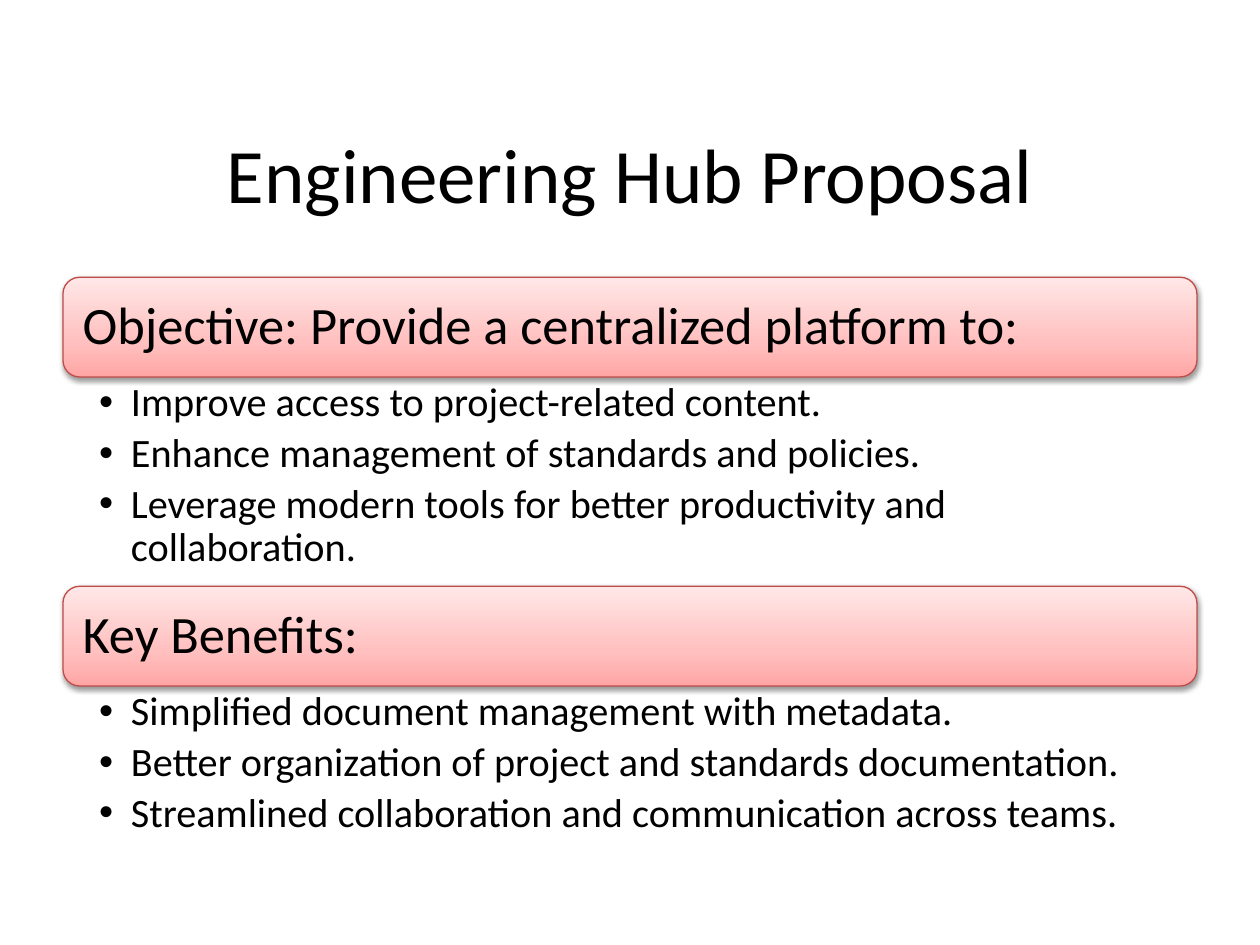
from copy import deepcopy
from dataclasses import dataclass

from lxml.etree import SubElement
from pptx import Presentation
from pptx.dml.color import RGBColor
from pptx.enum.shapes import MSO_SHAPE
from pptx.enum.text import MSO_ANCHOR, PP_ALIGN
from pptx.oxml.ns import qn
from pptx.slide import Slide
from pptx.text.text import TextFrame, _Paragraph
from pptx.util import Cm, Length, Pt

BLACK = RGBColor(0x00, 0x00, 0x00)
BORDER_RED = RGBColor(0xBF, 0x4C, 0x48)
HEADING_GRADIENT = (
    (0, RGBColor(0xFF, 0xA6, 0xA5)),
    (0.35, RGBColor(0xFF, 0xC0, 0xBF)),
    (1, RGBColor(0xFF, 0xE7, 0xE7)),
)
FONT = "Calibri"
LEFT, WIDTH = Cm(1.27), Cm(22.86)
HEADING_HEIGHT = Cm(2.01)
FIRST_TOP = Cm(5.59)


@dataclass(frozen=True)
class Section:
    heading: str
    points: tuple[str, ...]
    points_height: Length


SECTIONS = (
    Section(
        "Objective: Provide a centralized platform to:",
        (
            "Improve access to project-related content.",
            "Enhance management of standards and policies.",
            "Leverage modern tools for better productivity and collaboration.",
        ),
        Cm(4.22),
    ),
    Section(
        "Key Benefits:",
        (
            "Simplified document management with metadata.",
            "Better organization of project and standards documentation.",
            "Streamlined collaboration and communication across teams.",
        ),
        Cm(3.35),
    ),
)


def add_text(paragraph: _Paragraph, text: str, size: float) -> None:
    run = paragraph.add_run()
    run.text = text
    run.font.name = FONT
    run.font.size = Pt(size)
    run.font.color.rgb = BLACK


def set_frame(frame: TextFrame, anchor: MSO_ANCHOR, left: float, right: float, vertical: float) -> None:
    frame.word_wrap = True
    frame.vertical_anchor = anchor
    frame.margin_left, frame.margin_right = Cm(left), Cm(right)
    frame.margin_top = frame.margin_bottom = Cm(vertical)


def add_title(slide: Slide, text: str) -> None:
    title = slide.shapes.add_textbox(LEFT, Cm(1.9), WIDTH, Cm(3.18))
    set_frame(title.text_frame, MSO_ANCHOR.MIDDLE, 0.25, 0.25, 0.13)
    paragraph = title.text_frame.paragraphs[0]
    paragraph.alignment = PP_ALIGN.CENTER
    add_text(paragraph, text, 44)


def add_heading(slide: Slide, text: str, top: Length) -> None:
    heading = slide.shapes.add_shape(MSO_SHAPE.ROUNDED_RECTANGLE, LEFT, top, WIDTH, HEADING_HEIGHT)
    heading.line.color.rgb = BORDER_RED
    heading.line.width = Pt(0.75)

    heading.fill.gradient()
    heading.fill.gradient_angle = 90
    properties = heading._element.spPr
    stop_list = properties.find(".//" + qn("a:gsLst"))
    stop_list.append(deepcopy(stop_list[0]))
    for stop, (position, color) in zip(heading.fill.gradient_stops, HEADING_GRADIENT):
        stop.position = position
        stop.color.rgb = color

    heading.shadow.inherit = False
    shadow = SubElement(
        properties.find(qn("a:effectLst")), qn("a:outerShdw"),
        blurRad=str(Pt(3.1)), dist=str(Pt(1.6)), dir="5400000", rotWithShape="0",
    )
    shadow_color = SubElement(shadow, qn("a:srgbClr"), val=str(BLACK))
    SubElement(shadow_color, qn("a:alpha"), val="38000")

    set_frame(heading.text_frame, MSO_ANCHOR.MIDDLE, 0.3, 0.3, 0.3)
    paragraph = heading.text_frame.paragraphs[0]
    paragraph.alignment = PP_ALIGN.LEFT
    paragraph.line_spacing = 0.9
    add_text(paragraph, text, 30)


def add_points(slide: Slide, points: tuple[str, ...], top: Length, height: Length) -> None:
    body = slide.shapes.add_textbox(LEFT, top, WIDTH, height)
    frame = body.text_frame
    set_frame(frame, MSO_ANCHOR.TOP, 0.73, 0.58, 0.1)
    for index, point in enumerate(points):
        paragraph = frame.add_paragraph() if index else frame.paragraphs[0]
        paragraph.level = 1
        paragraph.line_spacing = 0.9
        paragraph.space_after = Pt(4.2)
        properties = paragraph._p.get_or_add_pPr()
        properties.set("marL", str(Cm(0.64)))
        properties.set("indent", str(-Cm(0.64)))
        SubElement(properties, qn("a:buFont"), typeface="Arial")
        SubElement(properties, qn("a:buChar"), char="•")
        add_text(paragraph, point, 23)


def main() -> None:
    presentation = Presentation()
    presentation.slide_width, presentation.slide_height = Cm(25.4), Cm(19.05)
    slide = presentation.slides.add_slide(presentation.slide_layouts[6])
    add_title(slide, "Engineering Hub Proposal")
    top = FIRST_TOP
    for section in SECTIONS:
        add_heading(slide, section.heading, top)
        top += HEADING_HEIGHT
        add_points(slide, section.points, top, section.points_height)
        top += section.points_height
    presentation.save("out.pptx")


if __name__ == "__main__":
    main()
